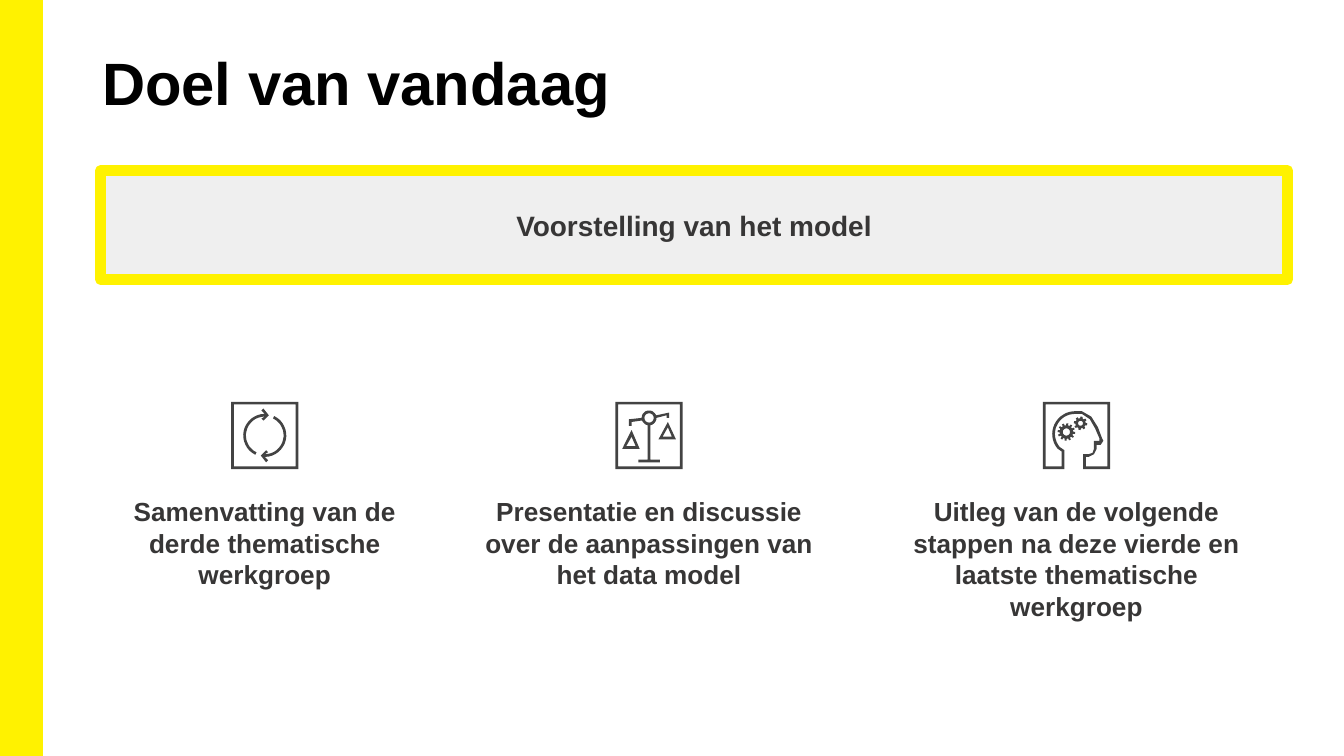
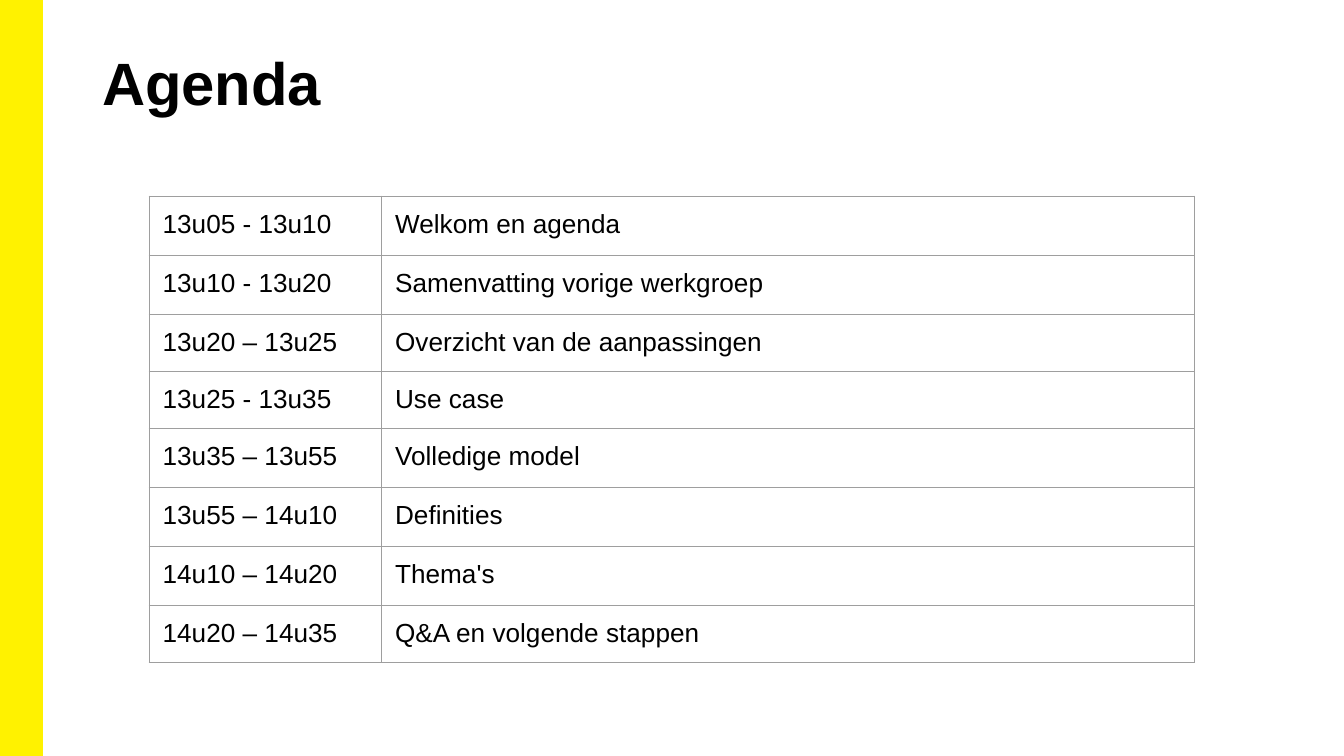
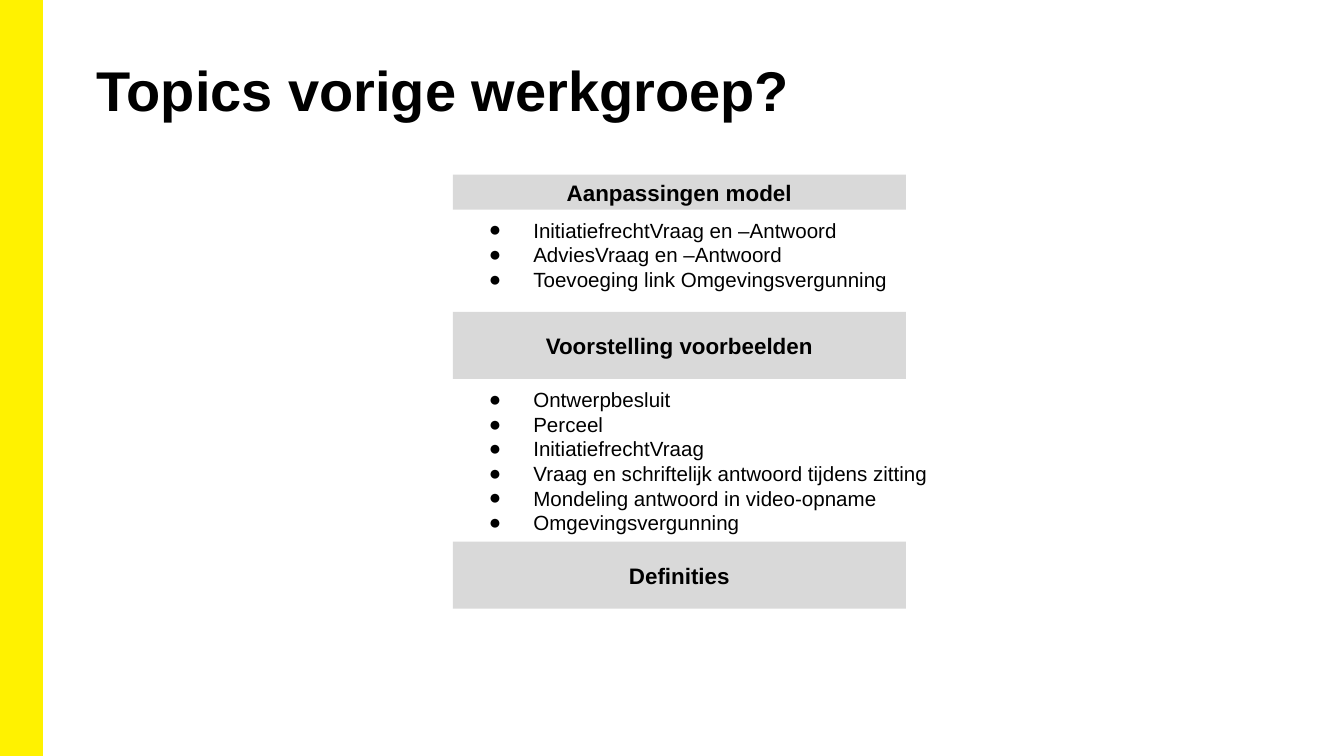
import math

from lxml import etree
from pptx import Presentation
from pptx.dml.color import RGBColor
from pptx.enum import shapes, text
from pptx.oxml import ns
from pptx.util import Inches, Pt

FONT = "Arial"
YELLOW, BLACK, DARK, ICON_GREY = "FFF200", "000000", "373636", "434343"
PALE, GREY, BORDER = "EFEFEF", "D9D9D9", "9E9E9E"
WIDTH = 10
HEIGHT = WIDTH * 9 / 16
ICON = 50  # side of an icon, in hundredths of an inch


def rgb(value):
    return RGBColor.from_string(value)


def add_xml(parent, tag, **attributes):
    return etree.SubElement(parent, ns.qn(tag), attributes)


# ---- Shared text and shapes ----
def style(paragraph, size, color=BLACK, bold=False, align=None):
    paragraph.alignment = align
    for run in paragraph.runs:
        run.font.name = FONT
        run.font.size = Pt(size)
        run.font.bold = bold
        run.font.color.rgb = rgb(color)


def set_insets(frame, left, top, right, bottom):
    frame.margin_left, frame.margin_top = Inches(left), Inches(top)
    frame.margin_right, frame.margin_bottom = Inches(right), Inches(bottom)


def add_text(slide, box, lines, size, color=BLACK, bold=False, align=None,
             insets=(0.1, 0.05, 0.1, 0.05)):
    label = slide.shapes.add_textbox(*map(Inches, box))
    frame = label.text_frame
    frame.word_wrap = True
    set_insets(frame, *insets)
    frame.text = "\n".join(lines)
    for paragraph in frame.paragraphs:
        style(paragraph, size, color, bold, align)
    return frame


def add_bar(slide, box, fill, line=None, line_width=1):
    bar = slide.shapes.add_shape(shapes.MSO_SHAPE.RECTANGLE, *map(Inches, box))
    bar.shadow.inherit = False
    bar.fill.solid()
    bar.fill.fore_color.rgb = rgb(fill)
    if line:
        bar.line.color.rgb = rgb(line)
        bar.line.width = Pt(line_width)
    else:
        bar.line.fill.background()
    return bar


def add_heading_bar(slide, box, heading, size, color, insets, **look):
    frame = add_bar(slide, box, **look).text_frame
    frame.word_wrap = True
    frame.vertical_anchor = text.MSO_ANCHOR.MIDDLE
    set_insets(frame, *insets)
    frame.text = heading
    style(frame.paragraphs[0], size, color, True, text.PP_ALIGN.CENTER)


def new_slide(deck, title, box=(0.69, 0.3, 8.62, 0.81), size=32):
    slide = deck.slides.add_slide(deck.slide_layouts[6])
    add_bar(slide, (0, 0, 0.31, HEIGHT), YELLOW, YELLOW)
    add_text(slide, box, [title], size, bold=True, insets=(0.07, 0.04, 0.07, 0.04))
    return slide


# ---- Icons: each part is a list of contours in hundredths of an inch ----
def arc(x, y, radius, start, end, steps=16):
    angles = [math.radians(start + (end - start) * i / steps)
              for i in range(steps + 1)]
    return [(x + radius * math.cos(a), y + radius * math.sin(a)) for a in angles]


def square(margin):
    far = ICON - margin
    return [(margin, margin), (margin, far), (far, far), (far, margin)]


def gear(x, y, outer, root, hole, teeth):
    rim = []
    for i in range(teeth):
        start, pitch = i * 360 / teeth, 360 / teeth
        rim += arc(x, y, outer, start, start + pitch * 0.4, 1)
        rim += arc(x, y, root, start + pitch * 0.5, start + pitch * 0.9, 1)
    return [rim, arc(x, y, hole, 0, 360)]


def cycle_icon():
    arrow = (arc(25, 25, 14, 116, 270)
             + [(22.5, 12.5), (24, 14), (28, 10), (24, 5), (22.5, 6.5), (24, 8)]
             + arc(25, 25, 16, 270, 116))
    turned = [(ICON - x, ICON - y) for x, y in arrow]
    return [[square(0), square(2)], [arrow], [turned]]


def scales_icon():
    stand = ([(12, 15)] + arc(25, 12, 5.5, 160, 100, 6)
             + [(24, 43), (17, 43), (17, 45), (33, 45), (33, 43), (26, 43)]
             + arc(25, 12, 5.5, 80, 0, 6)
             + [(38, 10), (38, 12), (40, 12), (40, 8)]
             + arc(25, 12, 5.5, -20, -180)
             + [(10, 13), (10, 18), (12, 18)])
    pans = [[(12, 21), (5, 35), (18, 35)], [(12, 26), (15, 33), (8, 33)],
            [(32, 28), (45, 28), (39, 15)], [(35, 26), (39, 19), (42, 26)]]
    return [[square(0), square(2), *pans, stand, arc(25, 12, 3.5, 0, 360)]]


def head_icon():
    inner = ([(0, 0), (0, 50), (16, 50), (16, 36)]
             + arc(24, 24, 15, 140, 270)
             + [(29, 9), (35, 13), (39, 20), (42, 27), (42, 29), (38, 29),
                (38, 35), (37, 38), (34, 39), (30, 39), (30, 50), (50, 50), (50, 0)])
    outer = ([(2, 2), (2, 48), (14, 48), (14, 37)]
             + arc(24, 24, 17, 140, 270)
             + [(29, 7), (36, 11), (41, 19), (44, 27), (45, 29), (43, 32),
                (40, 32), (40, 35), (38, 39), (34, 41), (32, 41), (32, 48),
                (48, 48), (48, 2)])
    return [[inner, outer], gear(17.5, 22.5, 6.5, 5, 2.75, 12),
            gear(28, 16, 5, 3.8, 1.8, 8)]


def add_icon(slide, left, top, parts):
    target = slide.shapes
    if len(parts) > 1:
        target = target.add_group_shape().shapes
    for contours in parts:
        # Ten builder units to each hundredth keep the curves smooth
        scaled = [[(x * 10, y * 10) for x, y in contour] for contour in contours]
        builder = target.build_freeform(*scaled[0][0], scale=Inches(1) / 1000)
        for i, contour in enumerate(scaled):
            if i:
                builder.move_to(*contour[0])
            builder.add_line_segments(contour[1:], close=True)
        part = builder.convert_to_shape(Inches(left), Inches(top))
        part.shadow.inherit = False
        part.fill.solid()
        part.fill.fore_color.rgb = rgb(ICON_GREY)
        part.line.fill.background()


# ---- Slide 1: goal ----
def add_goal(slide, box, icon_parts, goal):
    left, top, width, height = box
    add_icon(slide, left + (width - ICON / 100) / 2, top, icon_parts)
    add_text(slide, (left, top + 0.65, width, height - 0.65), [goal], 14, DARK,
             True, text.PP_ALIGN.CENTER)


def goal_slide(deck):
    slide = new_slide(deck, "Doel van vandaag")
    add_heading_bar(slide, (0.75, 1.27, 8.83, 0.81), "Voorstelling van het model",
                    15, DARK, (0.1, 0.05, 0.1, 0.05),
                    fill=PALE, line=YELLOW, line_width=6)
    goals = [
        (0.61, 2.72, cycle_icon(), "Samenvatting van de derde thematische werkgroep"),
        (3.43, 2.8, scales_icon(),
         "Presentatie en discussie over de aanpassingen van het data model"),
        (6.61, 2.8, head_icon(), "Uitleg van de volgende stappen na deze vierde en "
                                 "laatste thematische werkgroep"),
    ]
    for left, width, icon_parts, goal in goals:
        add_goal(slide, (left, 2.99, width, 1.93), icon_parts, goal)


# ---- Slide 2: agenda ----
def style_cell(cell, content):
    cell.text = content
    set_insets(cell, 0.1, 0.1, 0.1, 0.09)
    style(cell.text_frame.paragraphs[0], 14)
    properties = cell._tc.get_or_add_tcPr()
    for side in ("a:lnL", "a:lnR", "a:lnT", "a:lnB"):
        border = add_xml(properties, side, w=str(Pt(0.75)))
        add_xml(add_xml(border, "a:solidFill"), "a:srgbClr", val=BORDER)
    cell.fill.background()


def add_agenda(slide, box, items, column_widths, row_heights):
    agenda = slide.shapes.add_table(len(items), 2, *map(Inches, box)).table
    agenda.first_row = agenda.horz_banding = False
    for column, width in zip(agenda.columns, column_widths):
        column.width = Inches(width)
    for row, height, contents in zip(agenda.rows, row_heights, items):
        row.height = Inches(height)
        for cell, content in zip(row.cells, contents):
            style_cell(cell, content)


def agenda_slide(deck):
    slide = new_slide(deck, "Agenda")
    items = [
        ("13u05 - 13u10", "Welkom en agenda"),
        ("13u10 - 13u20", "Samenvatting vorige werkgroep"),
        ("13u20 – 13u25", "Overzicht van de aanpassingen"),
        ("13u25 - 13u35", "Use case"),
        ("13u35 – 13u55", "Volledige model"),
        ("13u55 – 14u10", "Definities"),
        ("14u10 – 14u20", "Thema's"),
        ("14u20 – 14u35", "Q&A en volgende stappen"),
    ]
    add_agenda(slide, (1.11, 1.46, 7.78, 3.47), items, (1.73, 6.05),
               (0.44, 0.44, 0.41, 0.41, 0.44, 0.44, 0.44, 0.39))


# ---- Slide 3: topics ----
def add_bullets(slide, box, points):
    frame = add_text(slide, box, points, 11, insets=(0.1, 0.06, 0.1, 0.1))
    frame.auto_size = text.MSO_AUTO_SIZE.SHAPE_TO_FIT_TEXT
    for paragraph in frame.paragraphs:
        properties = paragraph._p.get_or_add_pPr()
        properties.set("marL", str(Inches(0.5)))
        properties.set("indent", str(Inches(-0.33)))
        add_xml(add_xml(properties, "a:buClr"), "a:srgbClr", val=BLACK)
        add_xml(properties, "a:buSzPts", val="1100")
        add_xml(properties, "a:buFont", typeface=FONT)
        add_xml(properties, "a:buChar", char="●")


def add_topic(slide, box, heading, points, list_width, list_height):
    left, top, width, height = box
    add_heading_bar(slide, box, heading, 12, BLACK, (0, 0, 0, 0), fill=GREY)
    if points:
        add_bullets(slide, (left, top + height, list_width, list_height), points)


def topics_slide(deck):
    slide = new_slide(deck, "Topics vorige werkgroep?", (0.65, 0.37, 8.69, 0.81), 30)
    topics = [
        (1.3, 0.26, "Aanpassingen model",
         ["InitiatiefrechtVraag en –Antwoord", "AdviesVraag en –Antwoord",
          "Toevoeging link Omgevingsvergunning"], 3.37, 0.9),
        (2.32, 0.5, "Voorstelling voorbeelden",
         ["Ontwerpbesluit", "Perceel", "InitiatiefrechtVraag",
          "Vraag en schriftelijk antwoord tijdens zitting",
          "Mondeling antwoord in video-opname", "Omgevingsvergunning"], 3.7, 1.27),
        (4.03, 0.5, "Definities", [], 0, 0),
    ]
    for top, height, heading, points, list_width, list_height in topics:
        add_topic(slide, (3.37, top, 3.37, height), heading, points,
                  list_width, list_height)


def main():
    deck = Presentation()
    deck.slide_width, deck.slide_height = Inches(WIDTH), Inches(HEIGHT)
    goal_slide(deck)
    agenda_slide(deck)
    topics_slide(deck)
    deck.save("out.pptx")


if __name__ == "__main__":
    main()
